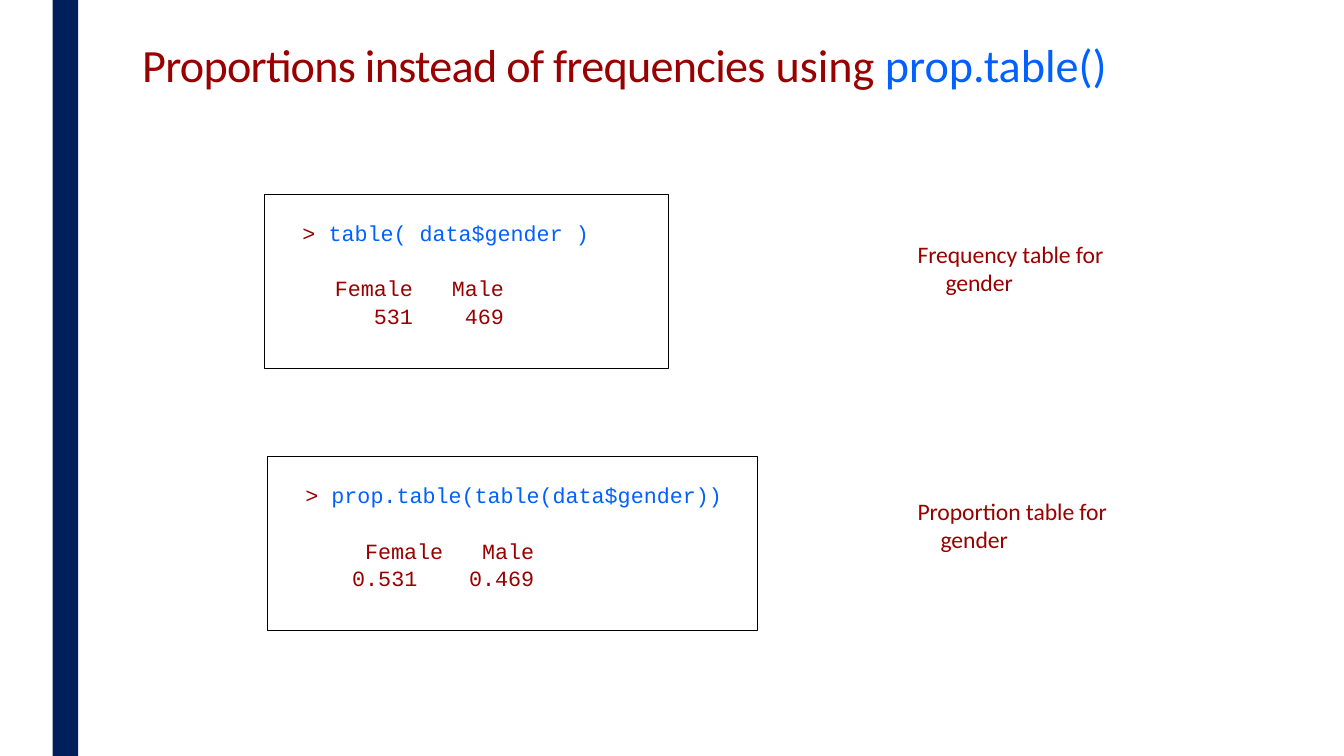
from pptx import Presentation
from pptx import util as u
from pptx.dml.color import RGBColor
from pptx.enum import shapes
from pptx.oxml.ns import qn
from lxml import etree

RED, DARK_RED, BLUE = "990000", "990100", "0061FF"
NAVY, BLACK = "011F5B", "000000"
BODY, CODE = "Calibri", "Courier New"
CODE_SIZE = 15.5


def color(value):
    return RGBColor.from_string(value)


def add_text(slide, left, top, width, height):
    """Add an empty text box without margins and return its frame."""
    frame = slide.shapes.add_textbox(u.Pt(left), u.Pt(top), u.Pt(width), u.Pt(height)).text_frame
    frame.word_wrap = True
    frame.margin_left = frame.margin_right = frame.margin_top = frame.margin_bottom = 0
    return frame


def add_run(paragraph, words, font, size, hue, spacing=0):
    run = paragraph.add_run()
    run.text = words
    run.font.name = font
    run.font.size = u.Pt(size)
    run.font.color.rgb = color(hue)
    if spacing:
        run.font._element.set("spc", str(round(spacing * 100)))


def set_tabs(paragraph, stops, alignment):
    tab_list = etree.SubElement(paragraph._p.get_or_add_pPr(), qn("a:tabLst"))
    for stop in stops:
        etree.SubElement(tab_list, qn("a:tab"), pos=str(u.Pt(stop)), algn=alignment)


def add_rectangle(slide, left, top, width, height, fill=None, line=None):
    shape = slide.shapes.add_shape(
        shapes.MSO_SHAPE.RECTANGLE, u.Pt(left), u.Pt(top), u.Pt(width), u.Pt(height))
    shape.shadow.inherit = False
    if fill:
        shape.fill.solid()
        shape.fill.fore_color.rgb = color(fill)
    else:
        shape.fill.background()
    if line:
        shape.line.color.rgb = color(line)
        shape.line.width = u.Pt(0.75)
    else:
        shape.line.fill.background()


def add_console(slide, left, top, width, command, output_top, rows):
    """Framed R command with its output; each row is (cells, right tab stops)."""
    add_rectangle(slide, left, top, width, 124, line=BLACK)
    text_left, text_width = left + 27.3, width - 27.3

    # Command
    paragraph = add_text(slide, text_left, top + 18, text_width, 19).paragraphs[0]
    paragraph.space_before = u.Pt(1)
    set_tabs(paragraph, [18.7], "l")
    add_run(paragraph, ">\t", CODE, CODE_SIZE, RED)
    add_run(paragraph, command, CODE, CODE_SIZE, BLUE)

    # Output
    frame = add_text(slide, text_left, output_top, text_width, 38)
    for index, (cells, stops) in enumerate(rows):
        paragraph = frame.add_paragraph() if index else frame.paragraphs[0]
        paragraph.space_before = u.Pt(1)
        set_tabs(paragraph, stops, "r")
        add_run(paragraph, "".join("\t" + cell for cell in cells), CODE, CODE_SIZE, RED)


def add_caption(slide, top, width, indent, words):
    """Caption whose second line hangs to the right of the first."""
    paragraph = add_text(slide, 655.4, top, width, 40.3).paragraphs[0]
    paragraph.space_before = u.Pt(1)
    paragraph.line_spacing = u.Pt(19.7)
    properties = paragraph._p.get_or_add_pPr()
    properties.set("marL", str(u.Pt(indent)))
    properties.set("indent", str(-u.Pt(indent)))
    add_run(paragraph, words, BODY, 16.9, DARK_RED, -0.05)


def main():
    presentation = Presentation()
    presentation.slide_width, presentation.slide_height = u.Pt(960), u.Pt(540)
    slide = presentation.slides.add_slide(presentation.slide_layouts[6])

    # Side band
    add_rectangle(slide, 37.6, 0, 18.2, 540, fill=NAVY)

    # Title
    title = add_text(slide, 101.5, 26, 752, 40.3).paragraphs[0]
    add_run(title, "Proportions instead of frequencies ", BODY, 33, DARK_RED, -0.5)
    add_run(title, "using ", BODY, 33, DARK_RED)
    add_run(title, "prop.table()", BODY, 33, BLUE)

    # Frequencies
    add_console(slide, 188.7, 139, 289, "table( data$gender )", 196.6, [
        (("Female", "Male"), (79, 144)),
        (("531", "469"), (79, 144)),
    ])
    add_caption(slide, 172, 134.6, 20, "Frequency table for gender")

    # Proportions
    add_console(slide, 190.8, 326.2, 350, "prop.table(table(data$gender))", 383.8, [
        (("Female", "Male"), (98.5, 163.5)),
        (("0.531", "0.469"), (80, 163.5)),
    ])
    add_caption(slide, 355.7, 158.4, 16.5, "Proportion table for gender")

    presentation.save("out.pptx")


if __name__ == "__main__":
    main()
